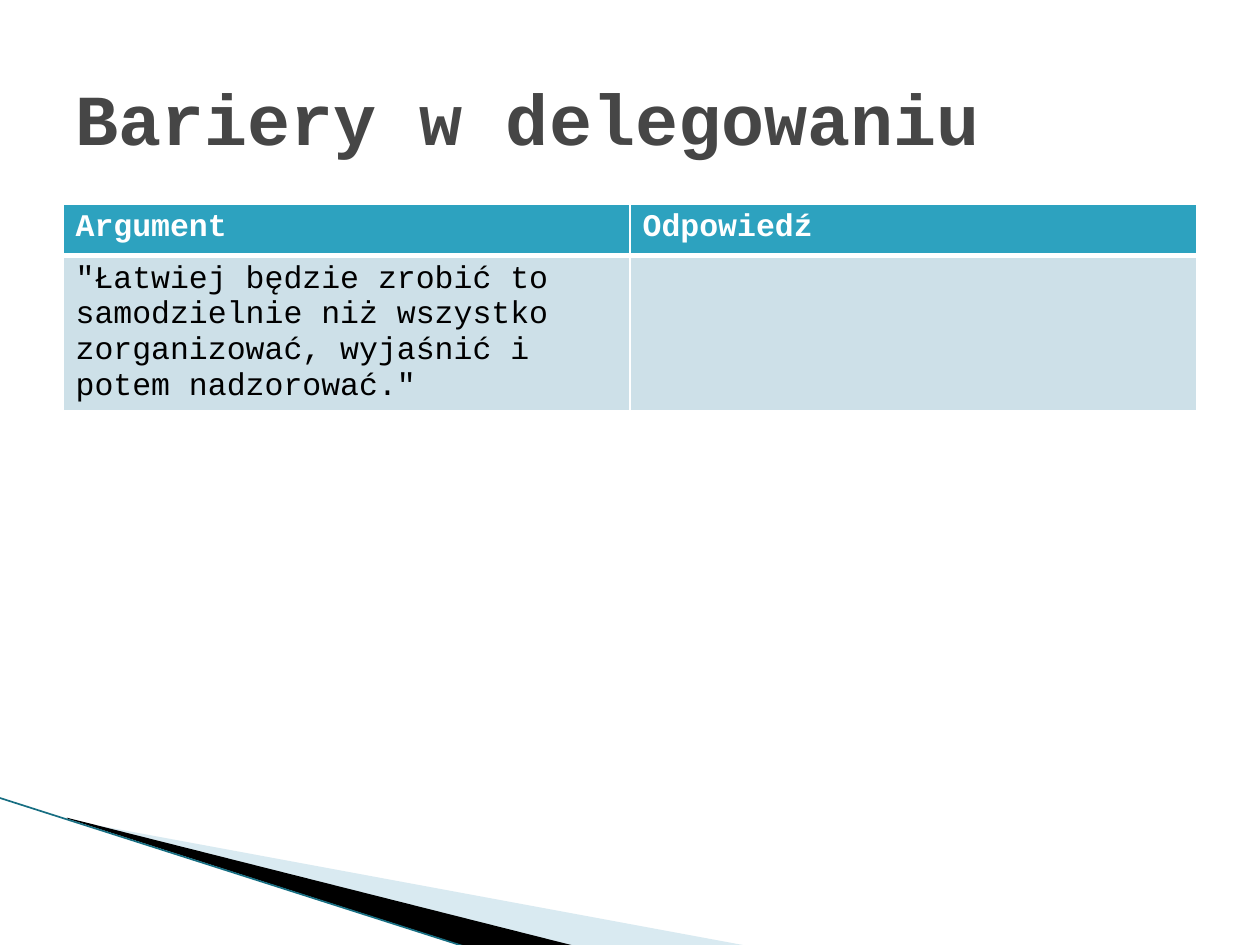
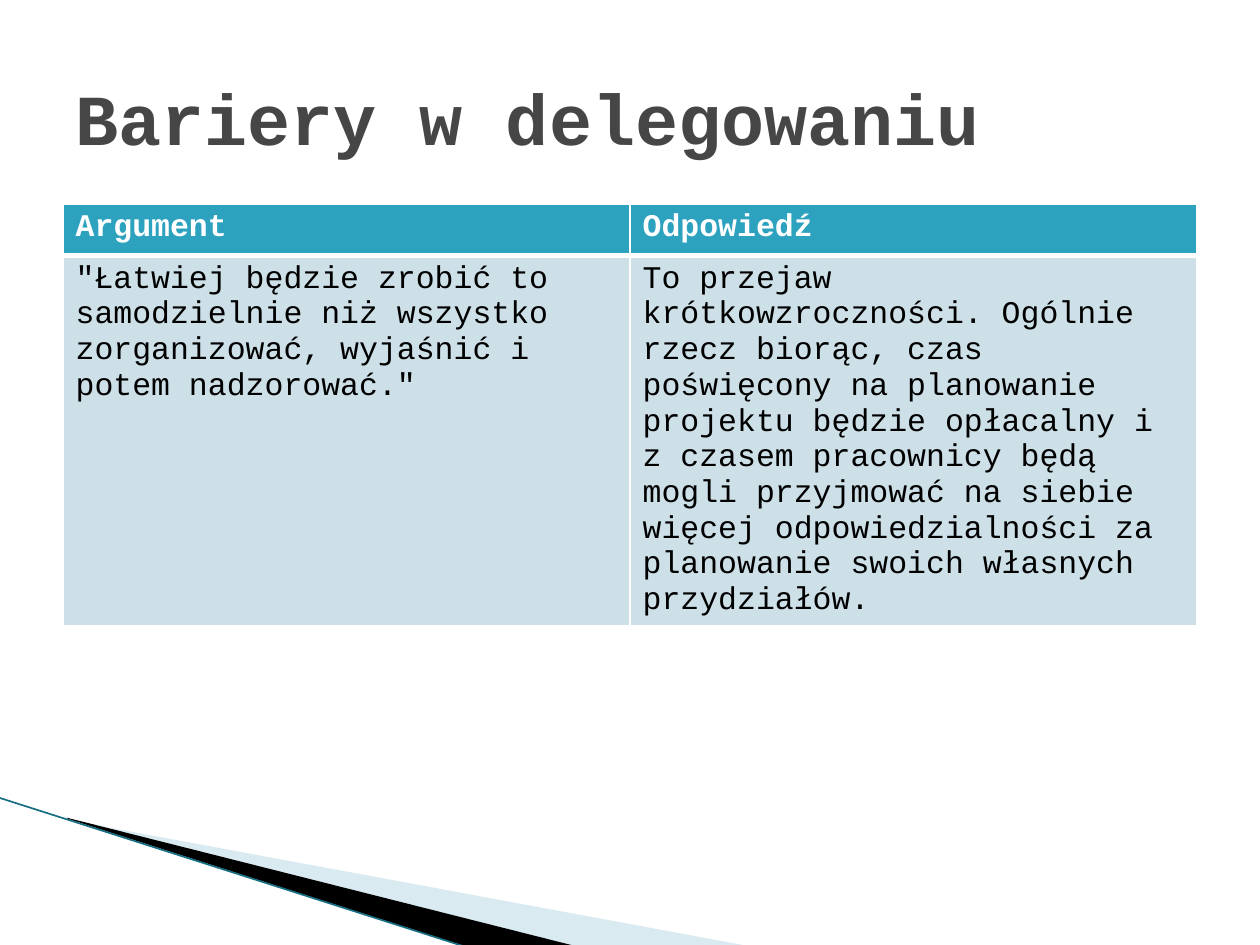
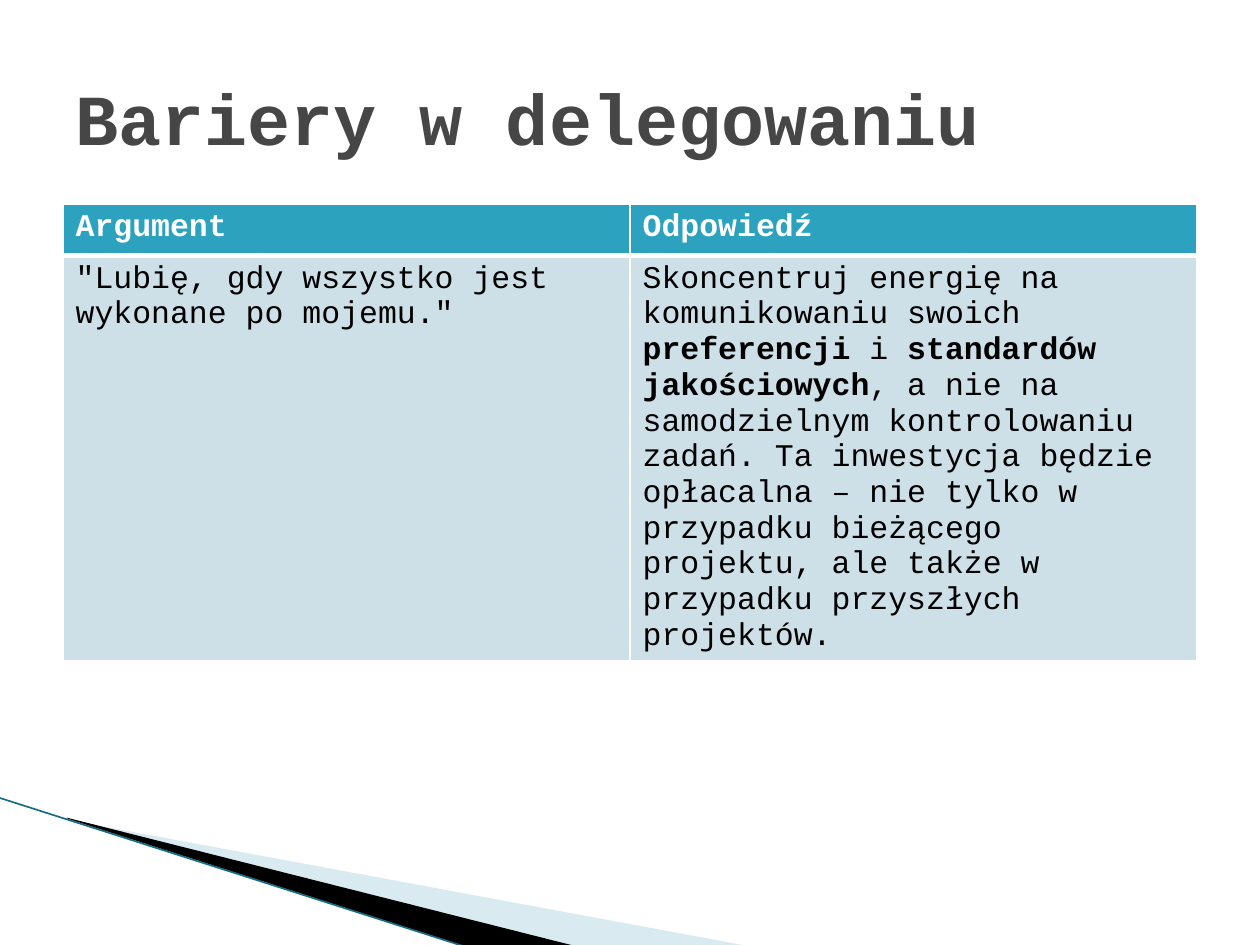
from lxml import etree
from pptx import Presentation
from pptx.dml.color import RGBColor
from pptx.enum.shapes import MSO_CONNECTOR
from pptx.enum.text import MSO_ANCHOR, PP_ALIGN
from pptx.oxml.ns import qn
from pptx.util import Pt

STRAIGHT = MSO_CONNECTOR.STRAIGHT
MIDDLE = MSO_ANCHOR.MIDDLE
LEFT = PP_ALIGN.LEFT

WHITE = RGBColor(0xFF, 0xFF, 0xFF)
BLACK = RGBColor(0x00, 0x00, 0x00)
TITLE_GREY = RGBColor(0x46, 0x46, 0x46)
HEADER_TEAL = RGBColor(0x2D, 0xA2, 0xBF)
CELL_BLUE = RGBColor(0xCD, 0xE0, 0xE8)
WEDGE_BLUE = RGBColor(0xA0, 0xCB, 0xDC)
EDGE_TEAL = RGBColor(0x17, 0x6E, 0x82)

FONT = "Courier New"
TITLE = "Bariery w delegowaniu"
HEADERS = ["Argument", "Odpowiedź"]
MARGIN, CONTENT_WIDTH = 36, 648
ROW_HEIGHT = 29.5
THIN, THICK = 1, 3

BLUE_WEDGE = [(39.6, 468.7), (428.4, 540.7), (328.3, 540.7), (39.6, 468)]
BLACK_WEDGE = [(38.2, 467.3), (329, 540.7), (267.8, 541.4), (38.9, 468)]

EASIER_ALONE = '"Łatwiej będzie zrobić to samodzielnie niż wszystko zorganizować, wyjaśnić i potem nadzorować."'
SHORT_SIGHTED = (
    "To przejaw krótkowzroczności. Ogólnie rzecz biorąc, czas poświęcony na planowanie "
    "projektu będzie opłacalny i z czasem pracownicy będą mogli przyjmować na siebie "
    "więcej odpowiedzialności za planowanie swoich własnych przydziałów."
)
MY_WAY = '"Lubię, gdy wszystko jest wykonane po mojemu."'

BARRIERS = [
    ([(EASIER_ALONE, False)], []),
    ([(EASIER_ALONE, False)], [(SHORT_SIGHTED, False)]),
    ([(MY_WAY, False)], [
        ("Skoncentruj energię na komunikowaniu swoich ", False),
        ("preferencji ", True),
        ("i ", False),
        ("standardów jakościowych", True),
        (", a nie na samodzielnym kontrolowaniu zadań. Ta inwestycja będzie opłacalna – "
         "nie tylko w przypadku bieżącego projektu, ale także w przypadku przyszłych "
         "projektów.", False),
    ]),
]


def add_wedge(slide, points, color, opacity=100):
    """Draw a filled outline through the points, without a border."""
    builder = slide.shapes.build_freeform(Pt(points[0][0]), Pt(points[0][1]))
    builder.add_line_segments([(Pt(x), Pt(y)) for x, y in points[1:]])
    shape = builder.convert_to_shape()
    shape.shadow.inherit = False
    shape.line.fill.background()
    shape.fill.solid()
    shape.fill.fore_color.rgb = color
    if opacity < 100:
        color_element = shape.fill._xPr.find(".//" + qn("a:srgbClr"))
        etree.SubElement(color_element, qn("a:alpha"), val=str(opacity * 1000))


def add_corner_decoration(slide):
    """Draw the wedges and the edge line in the lower left corner."""
    add_wedge(slide, BLUE_WEDGE, WEDGE_BLUE, 40)
    add_wedge(slide, BLACK_WEDGE, BLACK)
    edge = slide.shapes.add_connector(STRAIGHT, Pt(-0.7), Pt(455.8), Pt(267.1), Pt(541.4))
    edge.line.color.rgb = EDGE_TEAL
    edge.line.width = Pt(0.95)
    etree.SubElement(edge._element.spPr, qn("a:effectLst"))


def format_title(slide):
    """Fill and place the title placeholder."""
    title = slide.shapes.title
    title.left, title.top = Pt(MARGIN), Pt(21.6)
    title.width, title.height = Pt(CONTENT_WIDTH), Pt(90)
    frame = title.text_frame
    frame.text = TITLE
    frame.word_wrap = True
    frame.vertical_anchor = MIDDLE
    paragraph = frame.paragraphs[0]
    paragraph.alignment = LEFT
    font = paragraph.font
    font.name, font.size, font.bold = FONT, Pt(41), True
    font.color.rgb = TITLE_GREY


def set_borders(cell, top, bottom):
    """Give a cell white borders, with its own top and bottom widths."""
    properties = cell._tc.get_or_add_tcPr()
    widths = {"a:lnL": THIN, "a:lnR": THIN, "a:lnT": top, "a:lnB": bottom}
    for position, (tag, width) in enumerate(widths.items()):
        line = etree.Element(qn(tag), w=str(Pt(width)))
        fill = etree.SubElement(line, qn("a:solidFill"))
        etree.SubElement(fill, qn("a:srgbClr"), val=str(WHITE))
        properties.insert(position, line)


def fill_cell(cell, runs, text_color, background):
    """Write the (text, bold) runs into a cell and colour it."""
    cell.fill.solid()
    cell.fill.fore_color.rgb = background
    paragraph = cell.text_frame.paragraphs[0]
    paragraph.font.name = FONT
    paragraph.font.size = Pt(18)
    paragraph.font.color.rgb = text_color
    for text, bold in runs:
        run = paragraph.add_run()
        run.text = text
        run.font.bold = bold


def add_barrier_table(slide, answers):
    """Add the table that sets an argument against its answer."""
    frame = slide.shapes.add_table(
        2, 2, Pt(MARGIN), Pt(116.6), Pt(CONTENT_WIDTH), Pt(2 * ROW_HEIGHT))
    table = frame.table
    for column, (header, runs) in enumerate(zip(HEADERS, answers)):
        header_cell, body_cell = table.cell(0, column), table.cell(1, column)
        fill_cell(header_cell, [(header, True)], WHITE, HEADER_TEAL)
        set_borders(header_cell, THIN, THICK)
        fill_cell(body_cell, runs, BLACK, CELL_BLUE)
        set_borders(body_cell, THICK, THIN)


def main():
    """Build the slides and save the presentation."""
    presentation = Presentation()
    presentation.slide_width, presentation.slide_height = Pt(720), Pt(540)
    title_only = presentation.slide_layouts[5]
    for answers in BARRIERS:
        slide = presentation.slides.add_slide(title_only)
        add_corner_decoration(slide)
        add_barrier_table(slide, answers)
        format_title(slide)
    presentation.save("out.pptx")


if __name__ == "__main__":
    main()
